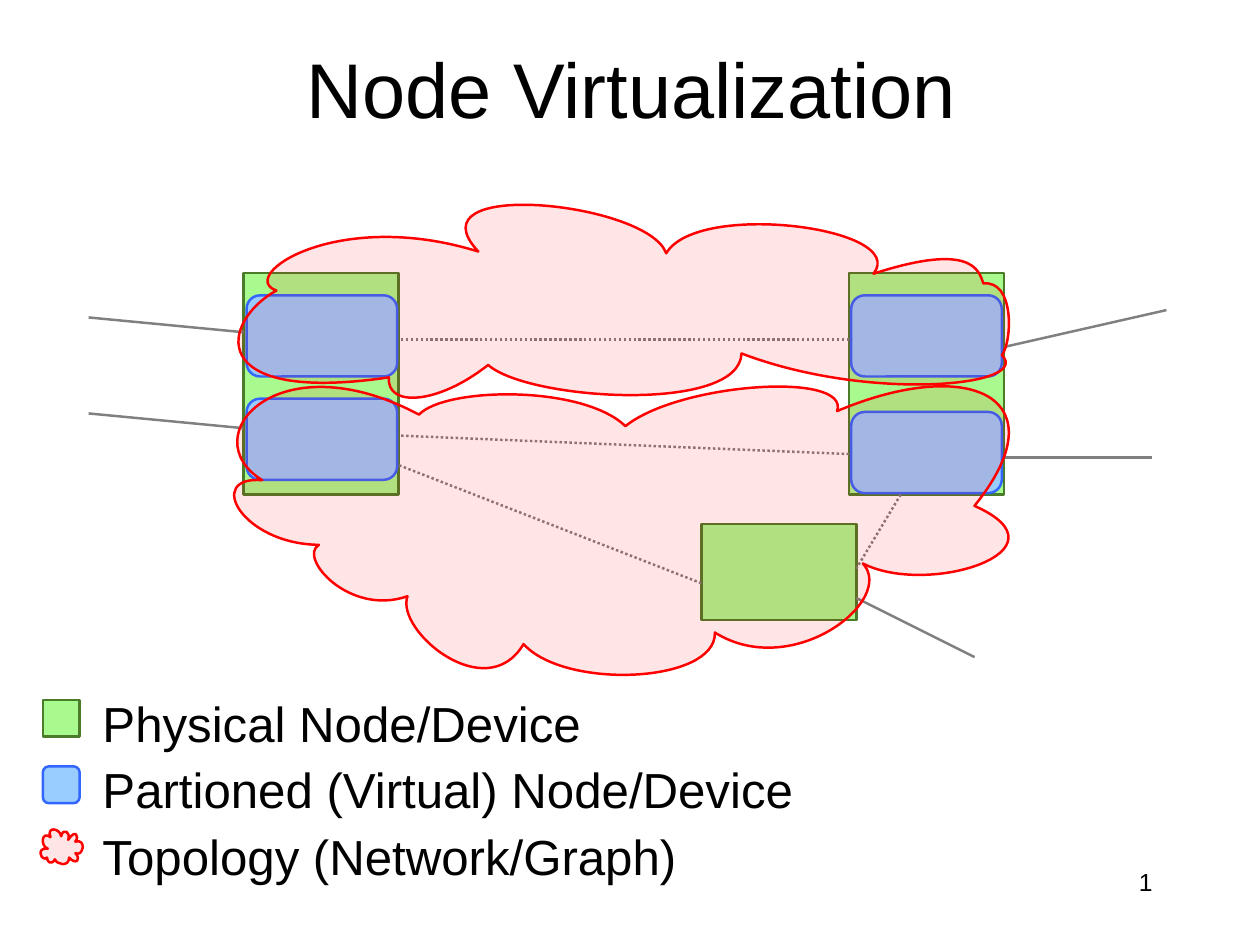
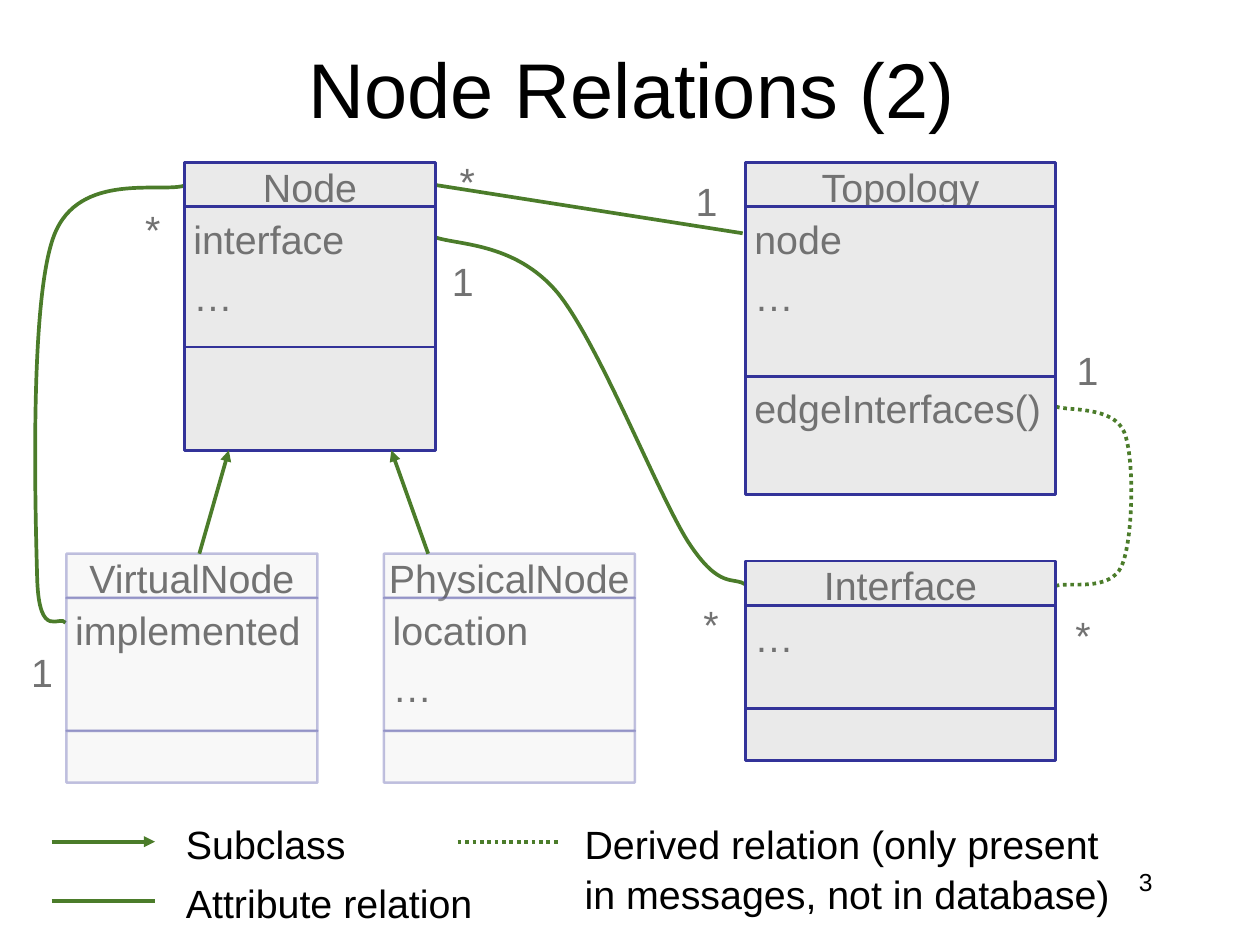
from pptx import Presentation
from pptx import util as u
from pptx.dml.color import RGBColor
from pptx.enum import dml, shapes, text
from pptx.oxml.ns import qn
from pptx.oxml.xmlchemy import OxmlElement

# Colours
BLACK = RGBColor(0x00, 0x00, 0x00)
GREY_TEXT = RGBColor(0x72, 0x72, 0x72)
GREY_LINE = RGBColor(0x80, 0x80, 0x80)
LEAF = RGBColor(0xA8, 0xFA, 0x8F)
FOREST = RGBColor(0x4B, 0x7C, 0x2A)
SKY = RGBColor(0x99, 0xCC, 0xFF)
BLUE = RGBColor(0x33, 0x66, 0xFF)
RED = RGBColor(0xFF, 0x00, 0x00)
PALE = RGBColor(0xEA, 0xEA, 0xEA)
NAVY = RGBColor(0x33, 0x33, 0x99)

FONT = "Arial"
LEFT, CENTER, RIGHT = (text.PP_ALIGN.LEFT, text.PP_ALIGN.CENTER,
                       text.PP_ALIGN.RIGHT)
TOP, MIDDLE = text.MSO_ANCHOR.TOP, text.MSO_ANCHOR.MIDDLE
RECT = shapes.MSO_SHAPE.RECTANGLE
ROUNDED = shapes.MSO_SHAPE.ROUNDED_RECTANGLE
PROCESS = shapes.MSO_SHAPE.FLOWCHART_PROCESS


def grid(*cells):
    """Lengths in columns or rows; the grid has twelve to the inch."""
    return [u.Inches(cell / 12) for cell in cells]


def write(shape, lines, size=32, color=GREY_TEXT, align=LEFT, anchor=TOP,
          wrap=True, gap=0, insets=(0.1, 0.09, 0.05)):
    """Fill a shape with one paragraph per line."""
    frame = shape.text_frame
    frame.word_wrap = wrap
    frame.vertical_anchor = anchor
    side, top, bottom = insets
    frame.margin_left = frame.margin_right = u.Inches(side)
    frame.margin_top, frame.margin_bottom = u.Inches(top), u.Inches(bottom)
    for index, line in enumerate(lines.split("\n")):
        para = frame.add_paragraph() if index else frame.paragraphs[0]
        para.alignment = align
        if index:
            para.space_before = u.Pt(gap)
        span = para.add_run()
        span.text = line
        span.font.name, span.font.size = FONT, u.Pt(size)
        span.font.color.rgb = color


def fade(element, percent):
    """Make every colour set so far inside the element see-through."""
    for color in element.iter(qn("a:srgbClr")):
        alpha = OxmlElement("a:alpha")
        alpha.set("val", str(percent * 1000))
        color.append(alpha)


class Deck:
    """The shared style and the page being drawn."""

    def __init__(self):
        self.show = Presentation()
        self.show.slide_width, self.show.slide_height = grid(170.67, 128)
        self.page = None

    def start(self, title, number):
        self.page = self.show.slides.add_slide(self.show.slide_layouts[6])
        wide = (0.14, 0.07, 0.07)
        self.label(title, 13, 4, 145, 15.6, size=63, color=BLACK,
                   align=CENTER, anchor=MIDDLE, insets=wide)
        self.label(str(number), 122.3, 116.6, 35.5, 8.5, size=20, color=BLACK,
                   align=RIGHT, insets=wide)

    def label(self, words, left, top, width, height, **style):
        box = self.page.shapes.add_textbox(*grid(left, top, width, height))
        write(box, words, **style)

    def legend(self, words, left, top, width, height, size):
        self.label(words, left, top, width, height, size=size, color=BLACK,
                   gap=2)

    def stroke(self, shape, color, weight, dotted=False):
        shape.line.color.rgb = color
        shape.line.width = u.Pt(weight)
        if dotted:
            shape.line.dash_style = dml.MSO_LINE.ROUND_DOT

    def block(self, kind, left, top, width, height, fill, line):
        box = self.page.shapes.add_shape(kind, *grid(left, top, width, height))
        box.shadow.inherit = False
        box.fill.solid()
        box.fill.fore_color.rgb = fill
        self.stroke(box, line, 2)
        return box

    def physical(self, left, top, width, height):
        self.block(RECT, left, top, width, height, LEAF, FOREST)

    def virtual(self, left, top, width, height):
        self.block(ROUNDED, left, top, width, height, SKY, BLUE)

    def link(self, start, end, color=FOREST, weight=3, dotted=False,
             arrow=False):
        line = self.page.shapes.add_connector(
            shapes.MSO_CONNECTOR.STRAIGHT, *grid(*start, *end))
        self.stroke(line, color, weight, dotted)
        if arrow:
            head = OxmlElement("a:tailEnd")
            head.set("type", "triangle")
            line.line._get_or_add_ln().append(head)
        line.element.spPr.append(OxmlElement("a:effectLst"))

    def bezier(self, points, closed=False):
        """Cubic outline: a start, then three points (in inches) a segment."""
        start, *rest = [(u.Inches(x), u.Inches(y)) for x, y in points]
        builder = self.page.shapes.build_freeform(*start)
        builder.add_line_segments(rest, close=closed)
        outline = builder.convert_to_shape()
        outline.shadow.inherit = False
        steps = list(outline.element.iter(qn("a:lnTo")))
        for index in range(0, len(steps), 3):
            segment = OxmlElement("a:cubicBezTo")
            steps[index].addprevious(segment)
            for step in steps[index:index + 3]:
                segment.append(step[0])
                step.getparent().remove(step)
        return outline

    def cloud(self, points):
        outline = self.bezier(points, closed=True)
        outline.fill.solid()
        outline.fill.fore_color.rgb = RED
        fade(outline.element.spPr, 10)
        self.stroke(outline, RED, 2)

    def relation(self, points, dotted=False):
        outline = self.bezier(points)
        outline.fill.background()
        self.stroke(outline, FOREST, 3, dotted)

    def uml_class(self, left, top, width, name, fields, field_rows,
                  methods, method_rows, faded=False):
        parts = [
            (name, 6, dict(align=CENTER, anchor=MIDDLE, wrap=False)),
            (fields, field_rows, dict(gap=8)),
            (methods, method_rows, {}),
        ]
        for words, rows, style in parts:
            box = self.block(PROCESS, left, top, width, rows, PALE, NAVY)
            if faded:
                fade(box.element.spPr, 29)
            if words:
                write(box, words, **style)
            top += rows


LEGEND_CLOUD = [
    (0.54, 9.58), (0.39, 9.56), (0.48, 9.74), (0.53, 9.68),
    (0.53, 9.73), (0.58, 9.77), (0.62, 9.7), (0.64, 9.76), (0.78, 9.79),
    (0.78, 9.68), (0.86, 9.77), (0.92, 9.7), (0.85, 9.63), (0.94, 9.68),
    (0.98, 9.46), (0.85, 9.5), (0.9, 9.44), (0.85, 9.35), (0.77, 9.48),
    (0.8, 9.39), (0.71, 9.34), (0.69, 9.44), (0.68, 9.35), (0.52, 9.32),
    (0.57, 9.45), (0.47, 9.37), (0.45, 9.55), (0.54, 9.58)]
UPPER_CLOUD = [
    (3.12, 3.28), (2.5, 3.62), (2.28, 4.57), (4.39, 4.26),
    (4.36, 4.6), (4.94, 4.57), (5.51, 4.12), (5.96, 4.52), (8.35, 4.67),
    (8.37, 3.99), (9.81, 4.54), (11.66, 4.36), (11.31, 4.01), (11.43, 3.84),
    (11.45, 3.16), (11.1, 3.2), (11.05, 3.05), (10.97, 2.73), (9.86, 3.09),
    (10.27, 2.57), (7.87, 2.26), (7.52, 2.86), (7.32, 2.28), (4.61, 2),
    (5.4, 2.84), (3.79, 2.34), (2.67, 3.12), (3.12, 3.28)]
LOWER_CLOUD = [
    (2.96, 5.42), (2.31, 5.37), (2.73, 6.14), (3.6, 6.15),
    (3.36, 6.29), (3.94, 6.96), (4.6, 6.73), (4.46, 7.12), (5.49, 7.98),
    (5.91, 7.27), (6.38, 7.79), (8.09, 7.71), (8.07, 7.14), (8.95, 7.69),
    (10.12, 6.77), (9.74, 6.36), (10.48, 6.74), (12.13, 6.21), (11, 5.71),
    (11.98, 4.5), (10.97, 4), (9.45, 4.64), (9.6, 4.19), (7.67, 4.32),
    (7.06, 4.81), (6.57, 4.34), (5.02, 4.37), (4.73, 4.68), (3.13, 3.83),
    (2.17, 4.93), (2.96, 5.42)]


def node_virtualization(deck):
    deck.start("Node Virtualization", 1)

    # Physical nodes
    for left, top, height in [(33, 37, 30), (115, 37, 30), (95, 71, 13)]:
        deck.physical(left, top, 21, height)

    # Legend
    deck.physical(5.8, 94.8, 5, 5)
    deck.cloud(LEGEND_CLOUD)
    deck.virtual(5.8, 103.8, 5, 5)
    names = ["Physical Node/Device", "Partioned (Virtual) Node/Device",
             "Topology (Network/Graph)"]
    for row, name in enumerate(names):
        deck.legend(name, 12.7, 92.8 + 9 * row, 97.3, 9, size=40)

    # Virtual nodes
    for left, top in [(33.4, 40), (33.4, 54), (115.3, 40), (115.3, 55.8)]:
        deck.virtual(left, top, 20.4, 11)

    # Links outside and between the nodes
    outer = [((33, 45), (12, 43)), ((33, 58), (12, 56)),
             ((158, 42), (136, 47)), ((156, 62), (136, 62)),
             ((132, 89), (116, 81))]
    inner = [((95, 79), (54, 63)), ((115, 61.5), (54, 59)),
             ((115, 46), (54, 46)), ((122, 67), (116, 77))]
    for links, dotted in [(outer, False), (inner, True)]:
        for start, end in links:
            deck.link(start, end, GREY_LINE, 2, dotted)

    # Topologies
    deck.cloud(UPPER_CLOUD)
    deck.cloud(LOWER_CLOUD)


def node_relations(deck):
    deck.start("Node Relations (2)", 3)

    # Relations
    deck.link((58.6, 25), (100.6, 31.6))
    deck.relation([
        (2.1, 2.09), (1.85, 2.19), (0.89, 1.92), (0.61, 2.66), (0.33, 3.39),
        (0.4, 5.79), (0.42, 6.52), (0.44, 7.25), (0.68, 6.93), (0.74, 7.03)])
    deck.relation([
        (4.89, 2.67), (5.13, 2.77), (5.8, 2.72), (6.29, 3.3), (6.76, 3.87),
        (7.42, 5.57), (7.77, 6.12), (8.13, 6.67), (8.28, 6.5), (8.42, 6.6)])
    deck.relation([
        (11.92, 4.59), (12.05, 4.64), (12.57, 4.58), (12.69, 4.88),
        (12.81, 5.18), (12.79, 6.1), (12.66, 6.39), (12.53, 6.68),
        (12.08, 6.57), (11.93, 6.61)], dotted=True)

    # Classes
    deck.uml_class(25, 22, 34, "Node", "interface\n…", 19, "", 14)
    deck.uml_class(9, 75, 34, "VirtualNode", "implemented", 18, "", 7, True)
    deck.uml_class(52, 75, 34, "PhysicalNode", "location\n…", 18, "", 7, True)
    deck.uml_class(101, 22, 42, "Topology", "node\n…", 23,
                   "edgeInterfaces()", 16)
    deck.uml_class(101, 76, 42, "Interface", "…", 14, "", 7)

    # Subclass arrows
    deck.link((27, 75), (31, 61), arrow=True)
    deck.link((58, 75), (53, 61), arrow=True)

    # Multiplicities, placed by their centres
    centres = {
        "1": [(95.7, 26.9), (62.7, 37.8), (5.7, 90.8), (147.3, 49.8)],
        "*": [(63.3, 24.2), (96.3, 84.2), (20.7, 30.8), (146.7, 85.8)],
    }
    width, height = 5.4, 7.7
    for mark, places in centres.items():
        for x, y in places:
            deck.label(mark, x - width / 2, y - height / 2, width, height,
                       align=CENTER, anchor=MIDDLE, wrap=False)

    # Legend
    deck.link((7, 114), (21, 114), arrow=True)
    deck.link((7, 122), (21, 122))
    deck.link((62, 114), (76, 114), dotted=True)
    deck.legend("Subclass", 24, 110, 67.3, 7.2, size=32)
    deck.legend("Attribute relation", 24, 118, 67.3, 7.2, size=32)
    deck.legend("Derived relation (only present\nin messages, not in database)",
                78, 110, 89, 13.3, size=32)


def main():
    deck = Deck()
    node_virtualization(deck)
    node_relations(deck)
    deck.show.save("out.pptx")


if __name__ == "__main__":
    main()
